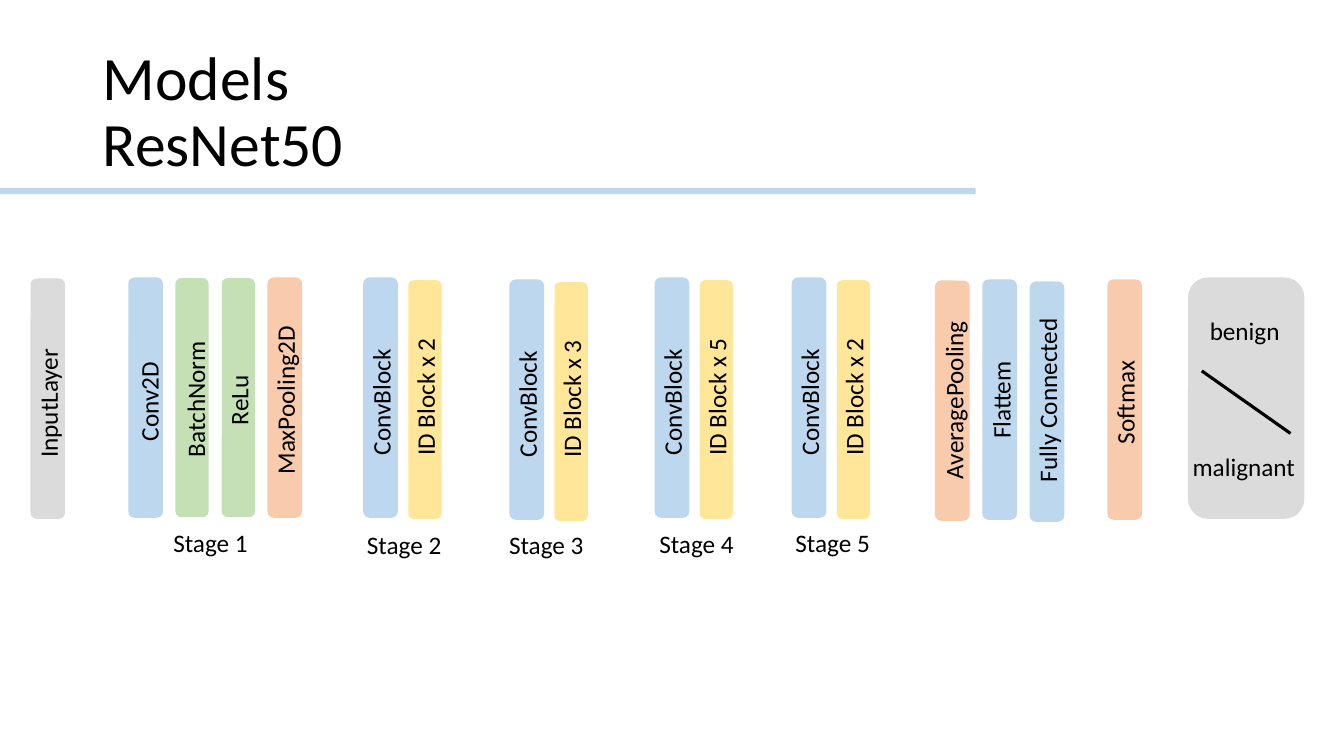
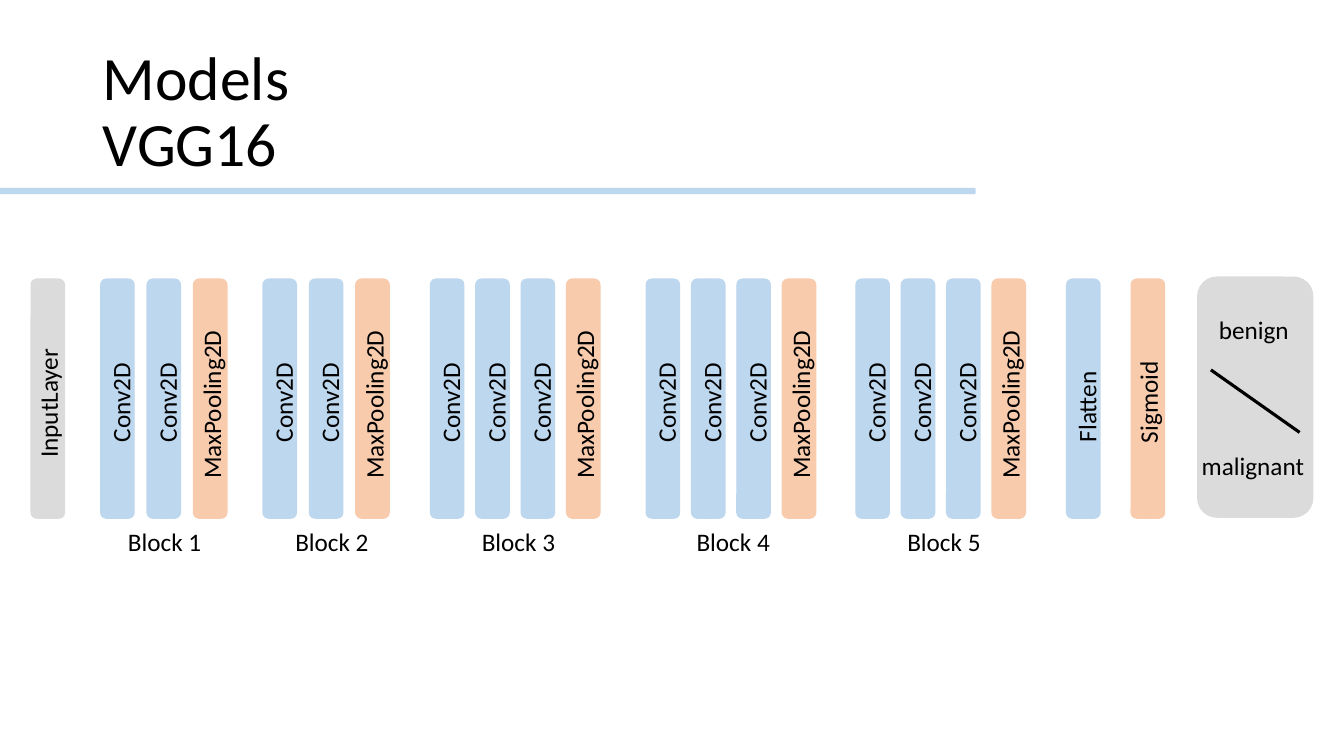
from dataclasses import dataclass

from lxml import etree
from pptx import Presentation
from pptx.dml.color import RGBColor
from pptx.enum.shapes import MSO_CONNECTOR as CONNECTOR, MSO_SHAPE as SHAPE
from pptx.enum.text import MSO_ANCHOR as ANCHOR, MSO_AUTO_SIZE as FIT, PP_ALIGN as ALIGN
from pptx.oxml.ns import qn
from pptx.util import Inches, Pt

COLORS = {
    "text": "000000",
    "blue": "BDD7EE",
    "green": "C5E0B4",
    "orange": "F8CBAD",
    "yellow": "FFE699",
    "gray": "DBDBDB",
}
OUTLINED = {"blue", "orange", "gray"}
FONT = "Calibri"
BAR_WIDTH, BAR_HEIGHT = 0.33, 2.37
LABEL_HEIGHT = 0.4


@dataclass
class Layer:
    text: str
    color: str
    length: float
    align: ALIGN = ALIGN.CENTER
    middle: float = 1.2
    shift: float = 0
    lower: float = 0


INPUT = Layer("InputLayer", "gray", 1.34, ALIGN.LEFT)
CONV = Layer("Conv2D", "blue", 1.03, ALIGN.LEFT, shift=0.03)
NORM = Layer("BatchNorm", "green", 1.44, shift=0.03)
RELU = Layer("ReLu", "green", 1.44, middle=1.21)
POOL = Layer("MaxPooling2D", "orange", 1.74, middle=1.21)
BLOCK_POOL = Layer("MaxPooling2D", "orange", 1.74, ALIGN.LEFT, 1.21, 0.01)
CONV_BLOCK = Layer("ConvBlock", "blue", 1.43, middle=1.23)
AVERAGE = Layer("AveragePooling", "orange", 2.07, middle=1.18, shift=0.01)
FLATTEM = Layer("Flattem", "blue", 2.07, middle=1.18, shift=0.01, lower=-0.01)
CONNECTED = Layer("Fully Connected", "blue", 2.07, middle=1.18, lower=0.01)
FLATTEN = Layer("Flatten", "blue", 1.03, ALIGN.LEFT, shift=0.03)
SOFTMAX = Layer("Softmax", "orange", 1.55, ALIGN.LEFT, 0.95)
SIGMOID = Layer("Sigmoid", "orange", 1.55, ALIGN.LEFT, 0.95)


def identity_block(count):
    return Layer(f"ID Block x {count}", "yellow", 1.74, middle=1.18, lower=0.02)


def rgb(color):
    return RGBColor.from_string(COLORS[color])


def add_run(paragraph, text, size):
    run = paragraph.add_run()
    run.text = text
    run.font.name = FONT
    run.font.size = Pt(size)
    run.font.color.rgb = rgb("text")


def add_label(slide, text, left, top, width, align=ALIGN.LEFT, rotation=0, wrap=True):
    label = slide.shapes.add_textbox(
        Inches(left), Inches(top), Inches(width), Inches(LABEL_HEIGHT))
    label.rotation = rotation
    frame = label.text_frame
    frame.word_wrap = wrap
    frame.auto_size = FIT.SHAPE_TO_FIT_TEXT
    frame.paragraphs[0].alignment = align
    add_run(frame.paragraphs[0], text, 18)


def add_panel(slide, left, top, width, height, color):
    panel = slide.shapes.add_shape(
        SHAPE.ROUNDED_RECTANGLE, Inches(left), Inches(top), Inches(width), Inches(height))
    panel.shadow.inherit = False
    panel.fill.solid()
    panel.fill.fore_color.rgb = rgb(color)
    if color in OUTLINED:
        panel.line.color.rgb = rgb(color)
        panel.line.width = Pt(1)
    else:
        panel.line.fill.background()


def add_layer(slide, layer, left, top):
    top += layer.lower
    add_panel(slide, left, top, BAR_WIDTH, BAR_HEIGHT, layer.color)
    center = left + BAR_WIDTH / 2 + layer.shift
    middle = top - layer.lower + layer.middle
    add_label(slide, layer.text, center - layer.length / 2, middle - LABEL_HEIGHT / 2,
              layer.length, layer.align, rotation=270)


def add_group(slide, layers, left, top=2.77, pitch=0.46):
    for index, layer in enumerate(layers):
        add_layer(slide, layer, left + index * pitch, top)


def add_caption(slide, text, left, top):
    add_label(slide, text, left, top, 0.95, wrap=False)


def add_verdict(slide, left, top):
    add_panel(slide, left, top, 1.14, 2.38, "gray")
    divider = slide.shapes.add_connector(
        CONNECTOR.STRAIGHT, Inches(left + 0.13), Inches(top + 0.92),
        Inches(left + 1.01), Inches(top + 1.54))
    divider.line.color.rgb = rgb("text")
    divider.line.width = Pt(2.25)
    etree.SubElement(divider._element.spPr, qn("a:effectLst"))
    add_label(slide, "malignant", left - 0.06, top + 1.67, 1.29)
    add_label(slide, "benign", left + 0.11, top + 0.32, 1.29)


def add_model_slide(deck, model):
    slide = deck.slides.add_slide(deck.slide_layouts[5])
    title = slide.shapes.title
    title.left, title.top = Inches(0.92), Inches(0.4)
    title.width, title.height = Inches(11.5), Inches(1.45)
    frame = title.text_frame
    frame.word_wrap = True
    frame.auto_size = FIT.NONE
    frame.vertical_anchor = ANCHOR.MIDDLE
    heading = frame.paragraphs[0]
    heading.alignment = ALIGN.LEFT
    heading.line_spacing = 0.9
    add_run(heading, "Models", 44)
    heading.add_line_break()
    add_run(heading, model, 44)
    add_panel(slide, 0, 1.87, 9.67, 0.05, "blue")
    add_group(slide, [INPUT], 0.31)
    return slide


def build_resnet(deck):
    slide = add_model_slide(deck, "ResNet50")
    add_group(slide, [CONV, NORM, RELU, POOL], 1.28, 2.76)
    add_caption(slide, "Stage 1", 1.62, 5.18)
    stages = [
        (2, 2, 3.61, 2.76, 3.54, 5.2),
        (3, 3, 5.06, 2.78, 4.95, 5.2),
        (4, 5, 6.5, 2.76, 6.44, 5.19),
        (5, 2, 7.86, 2.76, 7.79, 5.18),
    ]
    for number, repeats, left, top, caption_left, caption_top in stages:
        add_group(slide, [CONV_BLOCK, identity_block(repeats)], left, top, 0.44)
        add_caption(slide, f"Stage {number}", caption_left, caption_top)
    add_group(slide, [AVERAGE, FLATTEM, CONNECTED], 9.28, 2.79, 0.47)
    add_group(slide, [SOFTMAX], 10.99, 2.78)
    add_verdict(slide, 11.79, 2.76)


def build_vgg(deck):
    slide = add_model_slide(deck, "VGG16")
    blocks = [
        (2, 1, 0.46, 1.17),
        (2, 2.61, 0.46, 2.83),
        (3, 4.27, 0.45, 4.68),
        (3, 6.41, 0.45, 6.81),
        (3, 8.49, 0.45, 8.9),
    ]
    for number, (convs, left, pitch, caption_left) in enumerate(blocks, 1):
        add_group(slide, [CONV] * convs + [BLOCK_POOL], left, pitch=pitch)
        add_caption(slide, f"Block {number}", caption_left, 5.17)
    add_group(slide, [FLATTEN, SIGMOID], 10.58, pitch=0.64)
    add_verdict(slide, 11.88, 2.75)


def main():
    deck = Presentation()
    deck.slide_width, deck.slide_height = Inches(13.33), Inches(7.5)
    build_resnet(deck)
    build_vgg(deck)
    deck.save("out.pptx")


if __name__ == "__main__":
    main()
